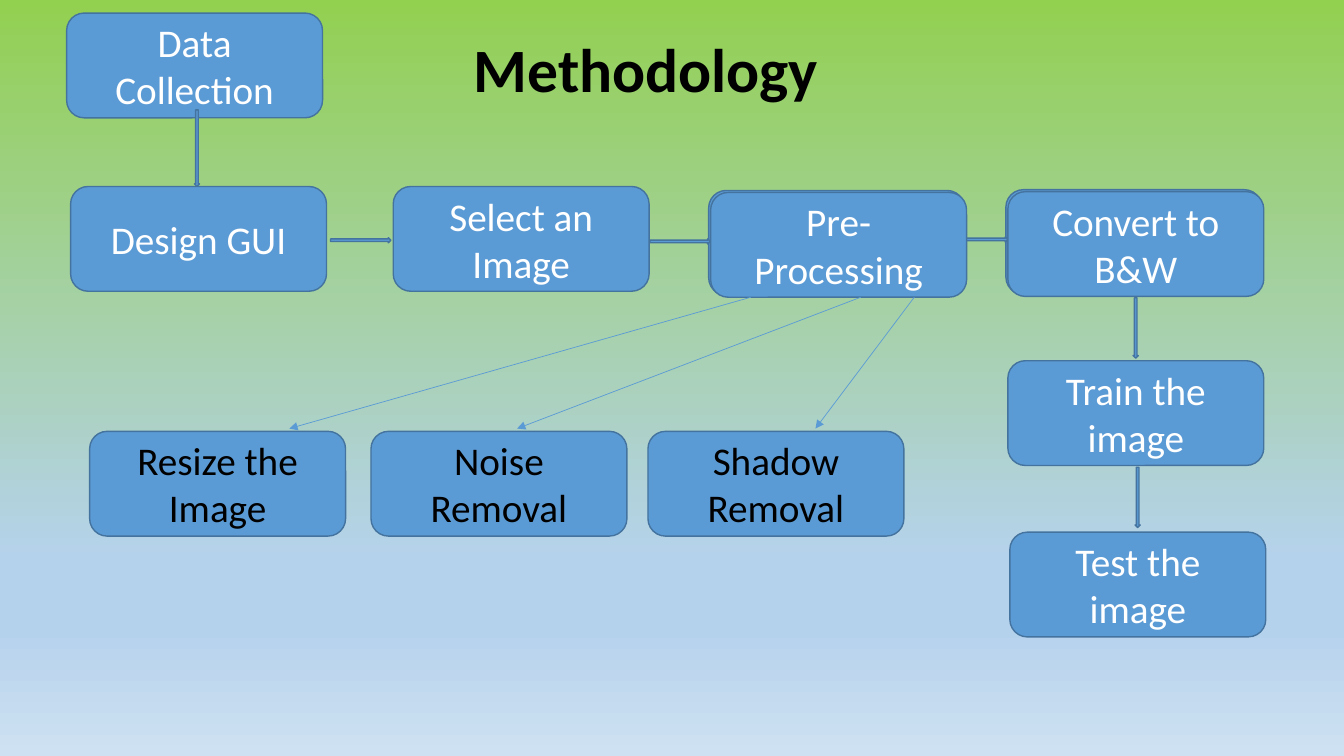
import copy

import pptx
import pptx.dml.color
import pptx.enum.shapes
import pptx.enum.text
import pptx.oxml
import pptx.oxml.ns
import pptx.util

Cm = pptx.util.Cm
Pt = pptx.util.Pt
Shape = pptx.enum.shapes.MSO_SHAPE
BLUE, EDGE, WHITE, BLACK = "5B9BD5", "43739E", "FFFFFF", "000000"


def color(hex_code):
    return pptx.dml.color.RGBColor.from_string(hex_code)


def write(frame, text, size=28, ink=WHITE, bold=False, spacing=1.0):
    """Fill a text frame with one centred, wrapped paragraph."""
    frame.word_wrap = True
    frame.auto_size = pptx.enum.text.MSO_AUTO_SIZE.NONE
    frame.vertical_anchor = pptx.enum.text.MSO_ANCHOR.MIDDLE
    para = frame.paragraphs[0]
    para.alignment = pptx.enum.text.PP_ALIGN.CENTER
    para.line_spacing = spacing
    span = para.add_run()
    span.text = text
    span.font.name = "Calibri"
    span.font.size = Pt(size)
    span.font.bold = bold
    span.font.color.rgb = color(ink)


deck = pptx.Presentation()
deck.slide_width, deck.slide_height = Cm(33.87), Cm(19.05)
page = deck.slides.add_slide(deck.slide_layouts[5])

# Background: green at the top, fading to pale blue
gradient = [(0, "92D050"), (0.14, "99D06E"), (0.74, "B5D2EC"),
            (0.83, "B5D2EC"), (1, "CEE1F2")]
backdrop = page.background.fill
backdrop.gradient()
backdrop.gradient_angle = 270
stop_list = page.element.find(".//" + pptx.oxml.ns.qn("a:gsLst"))
while len(stop_list) < len(gradient):
    stop_list.append(copy.deepcopy(stop_list[0]))
for stop, (position, hex_code) in zip(backdrop.gradient_stops, gradient):
    stop.position = position
    stop.color.rgb = color(hex_code)

title = page.shapes.title
title.left, title.top, title.width, title.height = Cm(1.68), Cm(0), Cm(29.21), Cm(3.68)
write(title.text_frame, "Methodology", size=44, ink=BLACK, bold=True, spacing=0.9)

# Steps: text, left, top, text colour
BOX_WIDTH, BOX_HEIGHT = 6.45, 2.64
back_steps = [
    ("Design GUI", 1.78, 4.7, WHITE),
    ("Select an Image", 9.91, 4.7, WHITE),
    ("Pre- Processing", 17.86, 4.8, WHITE),
    ("Convert to B&W", 25.35, 4.78, WHITE),
    ("Shadow Removal", 16.33, 10.87, BLACK),
    ("Noise Removal", 9.35, 10.87, BLACK),
    ("Resize the Image", 2.26, 10.87, BLACK),
    ("Train the image", 25.4, 9.09, WHITE),
    ("Test the image", 25.45, 13.41, WHITE),
]
front_steps = [
    ("Pre- Processing", 17.91, 4.85, WHITE),
    ("Convert to B&W", 25.4, 4.83, WHITE),
    ("Data Collection", 1.68, 0.33, WHITE),
]

# Arrows: preset, left, top, width, height, rotation
THIN = 0.13
flow_arrows = [
    (Shape.RIGHT_ARROW, 8.33, 5.99, 1.52, THIN, 0),
    (Shape.RIGHT_ARROW, 16.38, 6.02, 1.52, THIN, 0),
    (Shape.RIGHT_ARROW, 24.28, 5.97, 1.12, THIN, 0),
    (Shape.RIGHT_ARROW, 27.86, 8.2, 1.52, THIN, 90),
    (Shape.RIGHT_ARROW, 27.91, 12.47, 1.52, THIN, 90),
]
first_arrow = (Shape.DOWN_ARROW, 4.9, 2.77, THIN, 1.93, 0)

# Front boxes cover the arrow ends, so the stacking order matters
back_boxes, front_boxes = [
    [(Shape.ROUNDED_RECTANGLE, left, top, BOX_WIDTH, BOX_HEIGHT, 0, text, ink)
     for text, left, top, ink in steps]
    for steps in (back_steps, front_steps)
]
arrows = [(*arrow, "", WHITE) for arrow in flow_arrows]
stack = back_boxes + arrows + front_boxes + [(*first_arrow, "", WHITE)]

for preset, left, top, width, height, rotation, text, ink in stack:
    box = page.shapes.add_shape(preset, Cm(left), Cm(top), Cm(width), Cm(height))
    box.rotation = rotation
    box.shadow.inherit = False
    box.fill.solid()
    box.fill.fore_color.rgb = color(BLUE)
    box.line.color.rgb = color(EDGE)
    box.line.width = Pt(1)
    if text:
        write(box.text_frame, text, ink=ink)

# Pre-processing branches: start x, end x
for start, end in [(18.92, 7.29), (21.69, 13.03), (23.04, 20.55)]:
    branch = page.shapes.add_connector(
        pptx.enum.shapes.MSO_CONNECTOR.STRAIGHT,
        Cm(start), Cm(7.49), Cm(end), Cm(10.8))
    branch.line.color.rgb = color(BLUE)
    branch.line.width = Pt(0.5)
    tail = pptx.oxml.parse_xml(
        f'<a:tailEnd {pptx.oxml.ns.nsdecls("a")} type="triangle"/>')
    branch.line._get_or_add_ln().append(tail)
    effects = pptx.oxml.parse_xml(f'<a:effectLst {pptx.oxml.ns.nsdecls("a")}/>')
    branch.element.spPr.append(effects)

deck.save("out.pptx")
